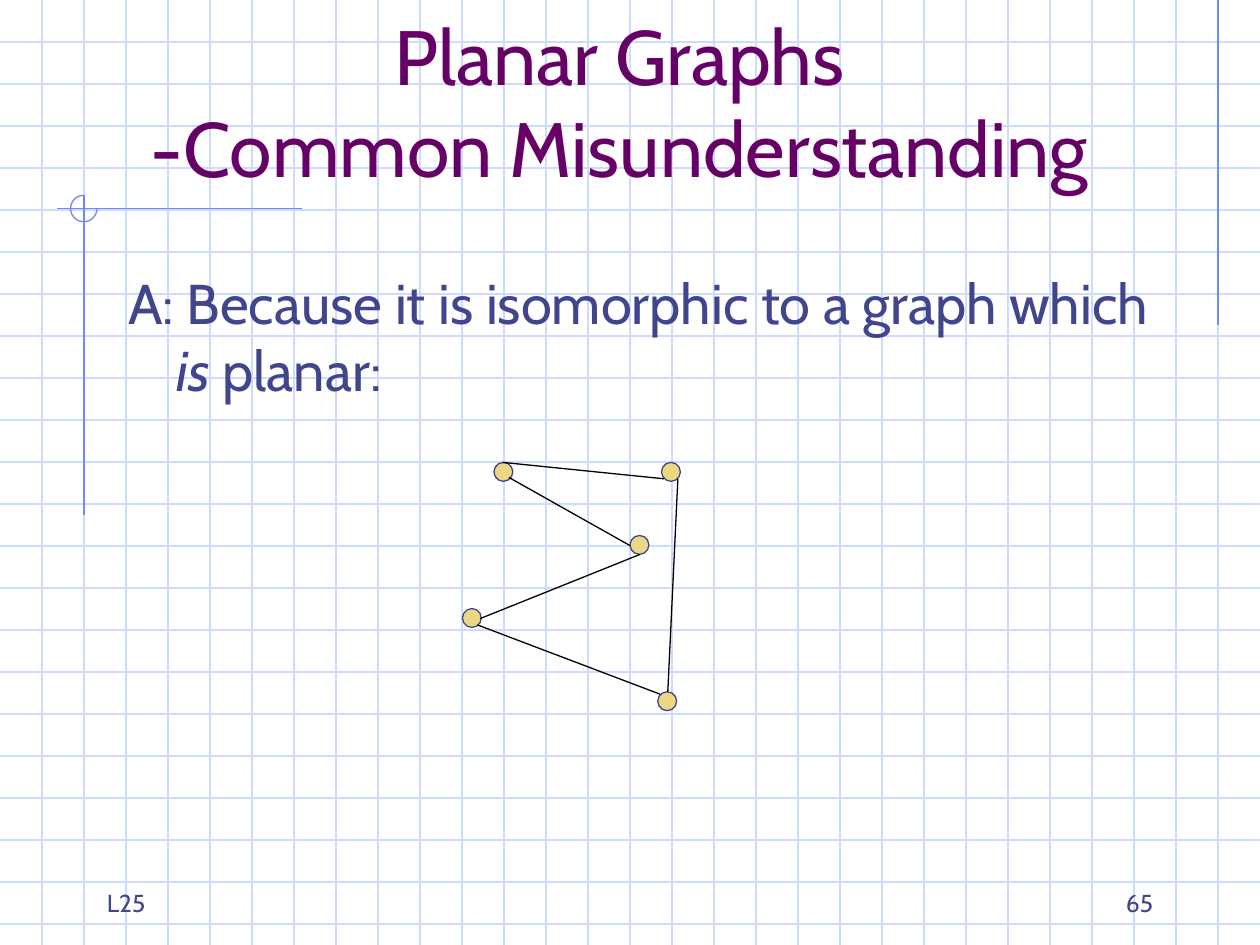
from lxml.etree import SubElement
from pptx import Presentation
from pptx.dml.color import RGBColor
from pptx.enum.shapes import MSO_CONNECTOR as Connector, MSO_SHAPE as Shape
from pptx.enum.text import MSO_ANCHOR as Anchor, PP_ALIGN as Align
from pptx.oxml.ns import qn
from pptx.util import Inches, Pt

WIDTH, HEIGHT = 10, 7.5
CELL = 1 / 3
FONT = "Cabin"
GRID, RULE, INK, PLUM, GOLD, BLACK = "CFDBFD", "6F89F7", "40458C", "660066", "ECD882", "000000"

TITLE = "Planar Graphs\v-Common Misunderstanding"
BODY = [("A: Because it is isomorphic to a graph which ", False), ("is", True), (" planar:", False)]
FOOTER, NUMBER = "L25", "65"

RULES = [((29, 0), (29, 7.74)), ((7.2, 4.97), (1.35, 4.97)), ((2, 4.65), (2, 12.27))]
NODE_SIZE = 0.15
NODES = [(3.67, 4.83), (5, 4.25), (3.92, 3.67), (5.22, 5.49), (5.25, 3.67)]
EDGES = [
    ((3.81, 4.91), (5.08, 4.4)),
    ((4.04, 3.79), (5, 4.33)),
    ((5.24, 5.51), (3.79, 4.96)),
    ((5.27, 3.8), (3.99, 3.67)),
    ((5.38, 3.8), (5.3, 5.49)),
]


def color(hex_text):
    return RGBColor.from_string(hex_text)


def add_line(page, start, end, ink):
    line = page.shapes.add_connector(Connector.STRAIGHT, *map(Inches, (*start, *end)))
    line.line.color.rgb = color(ink)
    line.line.width = Pt(0.75)
    SubElement(line._element.spPr, qn("a:effectLst"))


def add_outline(page, kind, area, ink, fill=None):
    shape = page.shapes.add_shape(kind, *map(Inches, area))
    shape.shadow.inherit = False
    if fill:
        shape.fill.solid()
        shape.fill.fore_color.rgb = color(fill)
    else:
        shape.fill.background()
    shape.line.color.rgb = color(ink)
    shape.line.width = Pt(0.75)
    return shape


def add_text(page, area, runs, size, ink, align=Align.LEFT, anchor=Anchor.BOTTOM, hanging=0):
    box = page.shapes.add_textbox(*map(Inches, area))
    frame = box.text_frame
    frame.word_wrap = True
    frame.vertical_anchor = anchor
    para = frame.paragraphs[0]
    para.alignment = align
    if hanging:
        props = para._p.get_or_add_pPr()
        props.set("marL", str(Inches(hanging)))
        props.set("indent", str(-Inches(hanging)))
    para.font.name = FONT
    para.font.size = Pt(size)
    para.font.color.rgb = color(ink)
    for text, italic in runs:
        first, *rest = text.split("\v")
        span = para.add_run()
        span.text = first
        if italic:
            span.font.italic = True
        for part in rest:
            para.add_line_break()
            para.add_run().text = part


def main():
    """Build the planar graph slide on squared paper."""
    deck = Presentation()
    deck.slide_width, deck.slide_height = Inches(WIDTH), Inches(HEIGHT)
    page = deck.slides.add_slide(deck.slide_layouts[6])

    for row in range(1, 23):
        add_line(page, (0, row * CELL), (WIDTH, row * CELL), GRID)
    for column in range(1, 30):
        add_line(page, (column * CELL, 0), (column * CELL, HEIGHT), GRID)
    for ends in RULES:
        start, end = [(x * CELL, y * CELL) for x, y in ends]
        add_line(page, start, end, RULE)
    arc = add_outline(page, Shape.ARC, (0.56, 1.55, 0.21, 0.21), RULE)
    arc.adjustments[0], arc.adjustments[1] = 0, 162

    add_text(page, (0.75, 6.83, 2.08, 0.5), [(FOOTER, False)], 14, INK)
    add_text(page, (7.17, 6.83, 2.08, 0.5), [(NUMBER, False)], 14, INK, Align.RIGHT)
    add_text(page, (0.67, 0.33, 8.5, 1.25), [(TITLE, False)], 44, PLUM, Align.CENTER)
    add_text(page, (0.92, 2.08, 8.5, 4.5), BODY, 32, INK, anchor=Anchor.TOP, hanging=0.38)

    for left, top in NODES:
        add_outline(page, Shape.OVAL, (left, top, NODE_SIZE, NODE_SIZE), INK, GOLD)
    for start, end in EDGES:
        add_line(page, start, end, BLACK)

    deck.save("out.pptx")


if __name__ == "__main__":
    main()
